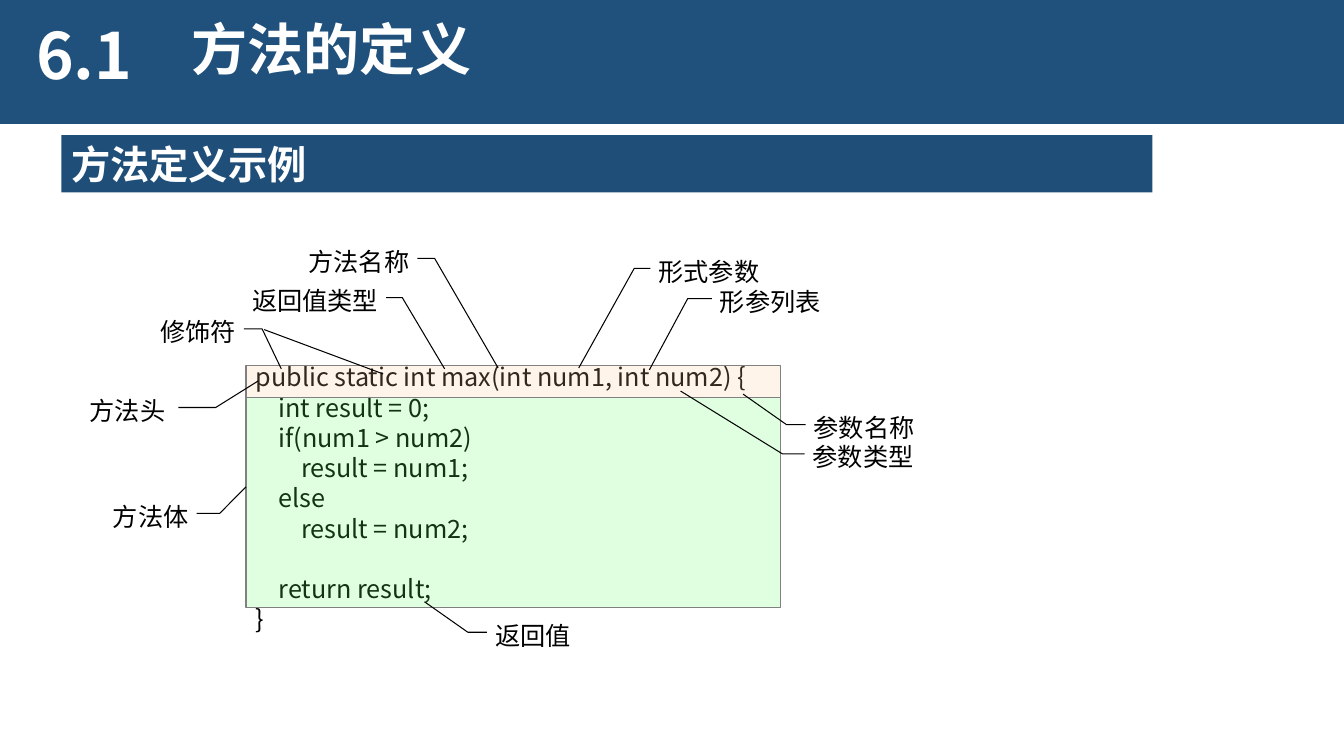
from lxml import etree
from pptx import Presentation
from pptx.dml.color import RGBColor
from pptx.enum.shapes import MSO_CONNECTOR, MSO_SHAPE
from pptx.enum.text import MSO_ANCHOR, PP_ALIGN
from pptx.oxml.ns import qn
from pptx.util import Inches, Pt

RECT, CALLOUT = MSO_SHAPE.RECTANGLE, MSO_SHAPE.LINE_CALLOUT_2_NO_BORDER
STRAIGHT = MSO_CONNECTOR.STRAIGHT
TOP, MIDDLE = MSO_ANCHOR.TOP, MSO_ANCHOR.MIDDLE
LEFT, RIGHT, JUSTIFY = PP_ALIGN.LEFT, PP_ALIGN.RIGHT, PP_ALIGN.JUSTIFY

COLORS = {"banner": "20517C", "heading": "1F4E79", "white": "FFFFFF", "black": "000000",
          "head": "FFCC99", "body": "66FF66", "border": "808080"}
CJK, LATIN = "Noto Sans CJK SC", "Calibri"
LABEL_HEIGHT = 0.27
LEADER_LEVEL = 0.456

CODE = """public static int max(int num1, int num2) {
    int result = 0;
    if(num1 > num2)
        result = num1;
    else
        result = num2;

    return result;
}"""

# text, (left, top, width), leader start x, elbow x, tip (x, y)
LABELS_LEFT = [
    ("方法头", (0.03, 3.92, 1.61), 1.77, 2.14, (2.56, 3.78)),
    ("方法体", (0.87, 4.97, 1), 1.95, 2.18, (2.44, 4.83)),
    ("修饰符", (1.34, 3.14, 1), 2.42, 2.6, (2.79, 3.66)),
    ("返回值类型", (2.13, 2.83, 1.62), 3.83, 3.99, (4.41, 3.66)),
    ("方法名称", (2.44, 2.44, 1.62), 4.14, 4.31, (4.94, 3.65)),
]
LABELS_RIGHT = [
    ("形式参数", (6.53, 2.54, 1.62), 6.45, 6.29, (5.74, 3.65)),
    ("形参列表", (7.14, 2.84, 1.62), 7.06, 6.82, (6.44, 3.67)),
    ("参数类型", (8.06, 4.38, 1.62), 7.98, 7.76, (6.75, 3.88)),
    ("参数名称", (8.07, 4.09, 1.62), 7.99, 7.8, (7.37, 3.91)),
    ("返回值", (4.91, 6.15, 1.62), 4.83, 4.64, (4.21, 5.97)),
]


def rgb(name):
    return RGBColor.from_string(COLORS[name])


def write(shape, text, size=18, font=LATIN, color="black", bold=False, align=LEFT,
          anchor=TOP, spacing=None, wrap=True, inset=None):
    frame = shape.text_frame
    frame.word_wrap, frame.vertical_anchor = wrap, anchor
    if inset is not None:
        frame.margin_left = frame.margin_right = Inches(inset)
        frame.margin_top = frame.margin_bottom = Inches(inset)
    for number, line in enumerate(text.split("\n")):
        paragraph = frame.add_paragraph() if number else frame.paragraphs[0]
        paragraph.alignment, paragraph.line_spacing = align, spacing
        if not line:
            paragraph.font.size = Pt(size)
            continue
        run = paragraph.add_run()
        run.text = line
        run.font.size, run.font.bold, run.font.name = Pt(size), bold, font
        run.font.color.rgb = rgb(color)
        etree.SubElement(run.font._element, qn("a:ea")).set("typeface", CJK)


def add_box(slide, box, kind=RECT, fill=None, line=None, opacity=None):
    shape = slide.shapes.add_shape(kind, *map(Inches, box))
    shape.shadow.inherit = False
    if fill:
        shape.fill.solid()
        shape.fill.fore_color.rgb = rgb(fill)
    else:
        shape.fill.background()
    if opacity:
        color = shape.fill._xPr.find(qn("a:solidFill"))[0]
        etree.SubElement(color, qn("a:alpha")).set("val", str(opacity * 1000))
    if line:
        shape.line.color.rgb = rgb(line)
        shape.line.width = Pt(0.75)
    else:
        shape.line.fill.background()
    return shape


def add_text(slide, box, text, **style):
    write(slide.shapes.add_textbox(*map(Inches, box)), text, **style)


def add_banner(slide, left, top, width, height):
    add_box(slide, (left, top, width, height), fill="banner")
    title = dict(font=CJK, color="white", bold=True, spacing=0.9)
    add_text(slide, (left + 0.29, top + 0.19, 1.37, 0.91), "6.1", size=45.6,
             align=JUSTIFY, **title)
    add_text(slide, (left + 1.83, top + 0.25, 8.09, 0.54), "方法的定义", size=40,
             anchor=MIDDLE, **title)


def add_heading(slide, box):
    write(add_box(slide, box, fill="heading"), "方法定义示例", size=28, font=CJK,
          color="white", bold=True, anchor=MIDDLE)


def add_code(slide, left, top, width):
    """Code listing with tinted areas over the method head and body."""
    add_text(slide, (left, top, 5.58, 2.8), CODE, font=CJK, wrap=False)
    head_top, head_height = top + 0.09, 0.31
    tint = dict(line="border", opacity=20)
    add_box(slide, (left, head_top, width, head_height), fill="head", **tint)
    add_box(slide, (left, head_top + head_height, width, 2.09), fill="body", **tint)


def add_leader(slide, start, end):
    leader = slide.shapes.add_connector(STRAIGHT, *map(Inches, start + end))
    leader.line.color.rgb = rgb("black")
    leader.line.width = Pt(0.75)
    etree.SubElement(leader._element.spPr, qn("a:effectLst"))


def add_label(slide, text, place, start, elbow, tip, align):
    """Label whose bent leader runs from start over elbow to tip."""
    left, top, width = place
    label = add_box(slide, (*place, LABEL_HEIGHT), kind=CALLOUT, line="black")
    tip_x, tip_y = tip
    bends = [(LEADER_LEVEL, start), (LEADER_LEVEL, elbow),
             ((tip_y - top) / LABEL_HEIGHT, tip_x)]
    for number, (level, x) in enumerate(bends):
        label.adjustments[2 * number] = level
        label.adjustments[2 * number + 1] = (x - left) / width
    write(label, text, align=align, inset=0)


def main():
    deck = Presentation()
    deck.slide_width, deck.slide_height = Inches(13.33), Inches(7.5)
    slide = deck.slides.add_slide(deck.slide_layouts[6])
    add_banner(slide, -0.03, 0, 13.36, 1.23)
    add_heading(slide, (0.61, 1.34, 10.82, 0.57))
    add_code(slide, 2.44, 3.54, 5.3)
    add_leader(slide, (2.62, 3.27), (3.8, 3.71))
    for labels, align in ((LABELS_LEFT, RIGHT), (LABELS_RIGHT, LEFT)):
        for label in labels:
            add_label(slide, *label, align)
    deck.save("out.pptx")


if __name__ == "__main__":
    main()
